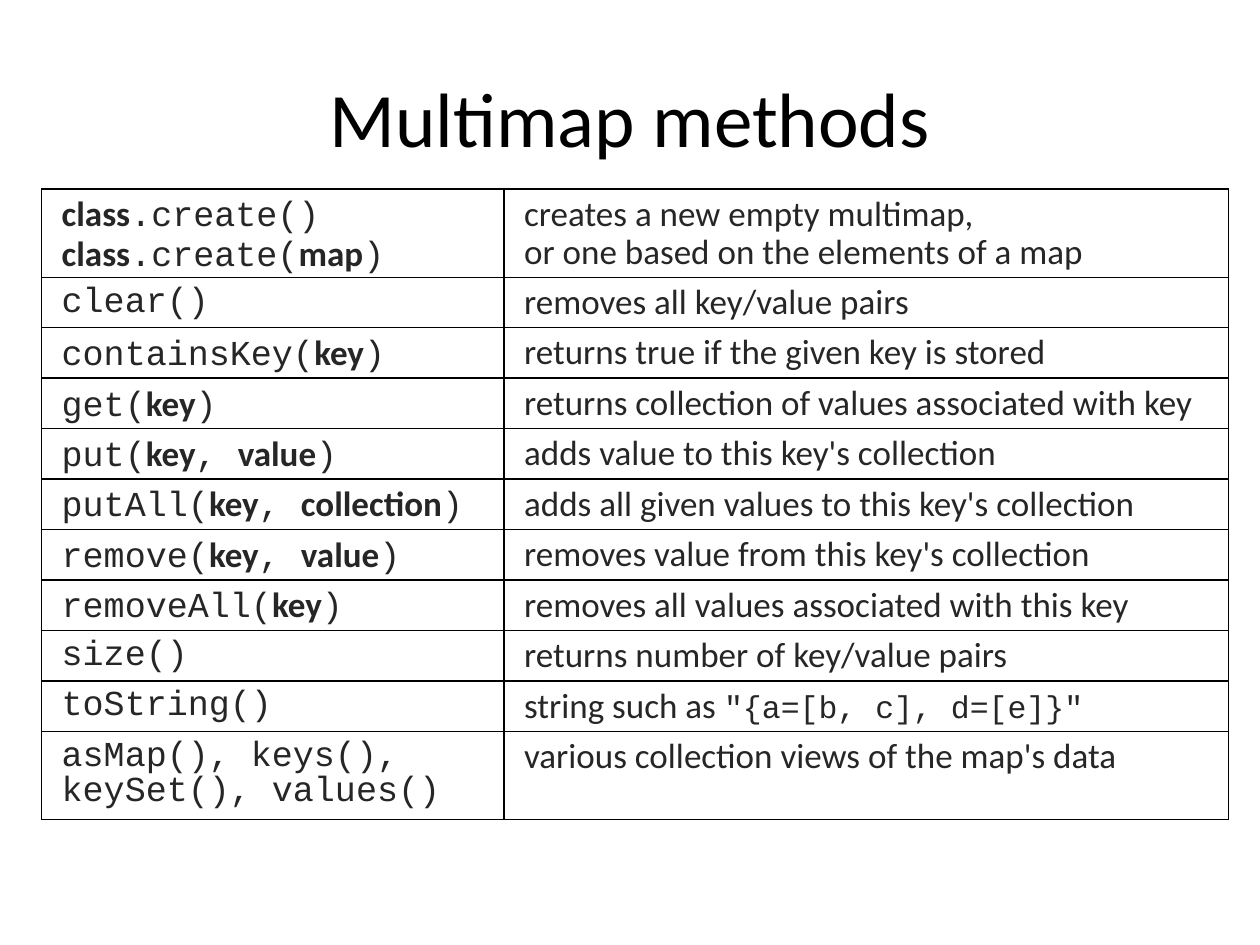
from lxml.etree import SubElement
from pptx import Presentation
from pptx.dml.color import RGBColor
from pptx.enum.text import MSO_ANCHOR, PP_ALIGN
from pptx.oxml.ns import qn
from pptx.util import Inches, Pt

TITLE = "Multimap methods"
# *word* marks a placeholder in a signature, `text` marks code in a description
METHODS = [
    ("*class*.create()\n*class*.create(*map*)",
     "creates a new empty multimap,\nor one based on the elements of a map"),
    ("clear()", "removes all key/value pairs"),
    ("containsKey(*key*)", "returns true if the given key is stored"),
    ("get(*key*)", "returns collection of values associated with key"),
    ("put(*key*, *value*)", "adds value to this key's collection"),
    ("putAll(*key*, *collection*)", "adds all given values to this key's collection"),
    ("remove(*key*, *value*)", "removes value from this key's collection"),
    ("removeAll(*key*)", "removes all values associated with this key"),
    ("size()", "returns number of key/value pairs"),
    ("toString()", 'string such as `"{a=[b, c], d=[e]}"`'),
    ("asMap(), keys(), keySet(), values()", "various collection views of the map's data"),
]

COLORS = {"title": "000000", "body": "262626", "border": "000000"}
HEADING = dict(name="Calibri", size=Pt(44), bold=False)
CODE = dict(name="Courier New", size=Pt(20), bold=False)
PROSE = dict(name="Calibri", size=Pt(20), bold=False)
PLACEHOLDER = PROSE | dict(bold=True)
SAMPLE = CODE | dict(size=Pt(18))
# Per column: the mark, the format outside it and the format inside it
COLUMN_STYLES = [("*", CODE, PLACEHOLDER), ("`", PROSE, SAMPLE)]

WIDTH, HEIGHT = Inches(10), Inches(7.5)
COLUMN_WIDTHS = [Inches(3.67), Inches(5.75)]
FIRST_ROW, OTHER_ROW = Inches(0.52), Inches(0.31)
TABLE_HEIGHT = Inches(5)
INDENT = Inches(0.06)


def add_run(paragraph, words, style, color):
    run = paragraph.add_run()
    run.text = words
    for attribute, value in style.items():
        setattr(run.font, attribute, value)
    run.font.color.rgb = RGBColor.from_string(COLORS[color])


def write_marked(paragraph, marked, mark, outside, inside):
    """Split the text at its marks and lines, and format each piece."""
    for number, part in enumerate(marked.split(mark)):
        for line, words in enumerate(part.split("\n")):
            if line:
                paragraph.add_line_break()
            if words:
                add_run(paragraph, words, inside if number % 2 else outside, "body")


def add_borders(cell):
    properties = cell._tc.get_or_add_tcPr()
    for side in "LRTB":
        border = SubElement(properties, qn(f"a:ln{side}"), w=str(Pt(1)))
        fill = SubElement(border, qn("a:solidFill"))
        SubElement(fill, qn("a:srgbClr"), val=COLORS["border"])


def add_title(slide):
    box = slide.shapes.add_textbox(
        int(WIDTH * 0.05), int(HEIGHT * 0.04), int(WIDTH * 0.9), Inches(1.25))
    frame = box.text_frame
    frame.word_wrap = True
    frame.vertical_anchor = MSO_ANCHOR.MIDDLE
    paragraph = frame.paragraphs[0]
    paragraph.alignment = PP_ALIGN.CENTER
    add_run(paragraph, TITLE, HEADING, "title")


def add_methods(slide):
    holder = slide.shapes.add_table(
        len(METHODS), len(COLUMN_WIDTHS), Inches(0.33), int(HEIGHT * 0.2),
        sum(COLUMN_WIDTHS), TABLE_HEIGHT)
    table = holder.table
    table.first_row = table.horz_banding = False
    for column, width in zip(table.columns, COLUMN_WIDTHS):
        column.width = width
    for index, (row, method) in enumerate(zip(table.rows, METHODS)):
        row.height = OTHER_ROW if index else FIRST_ROW
        for cell, marked, style in zip(row.cells, method, COLUMN_STYLES):
            add_borders(cell)
            cell.fill.background()
            paragraph = cell.text_frame.paragraphs[0]
            paragraph.line_spacing = 0.9
            paragraph._p.get_or_add_pPr().set("marL", str(INDENT))
            write_marked(paragraph, marked, *style)
    holder.height = TABLE_HEIGHT


def main():
    deck = Presentation()
    deck.slide_width, deck.slide_height = WIDTH, HEIGHT
    slide = deck.slides.add_slide(deck.slide_layouts[6])
    add_title(slide)
    add_methods(slide)
    deck.save("out.pptx")


if __name__ == "__main__":
    main()
